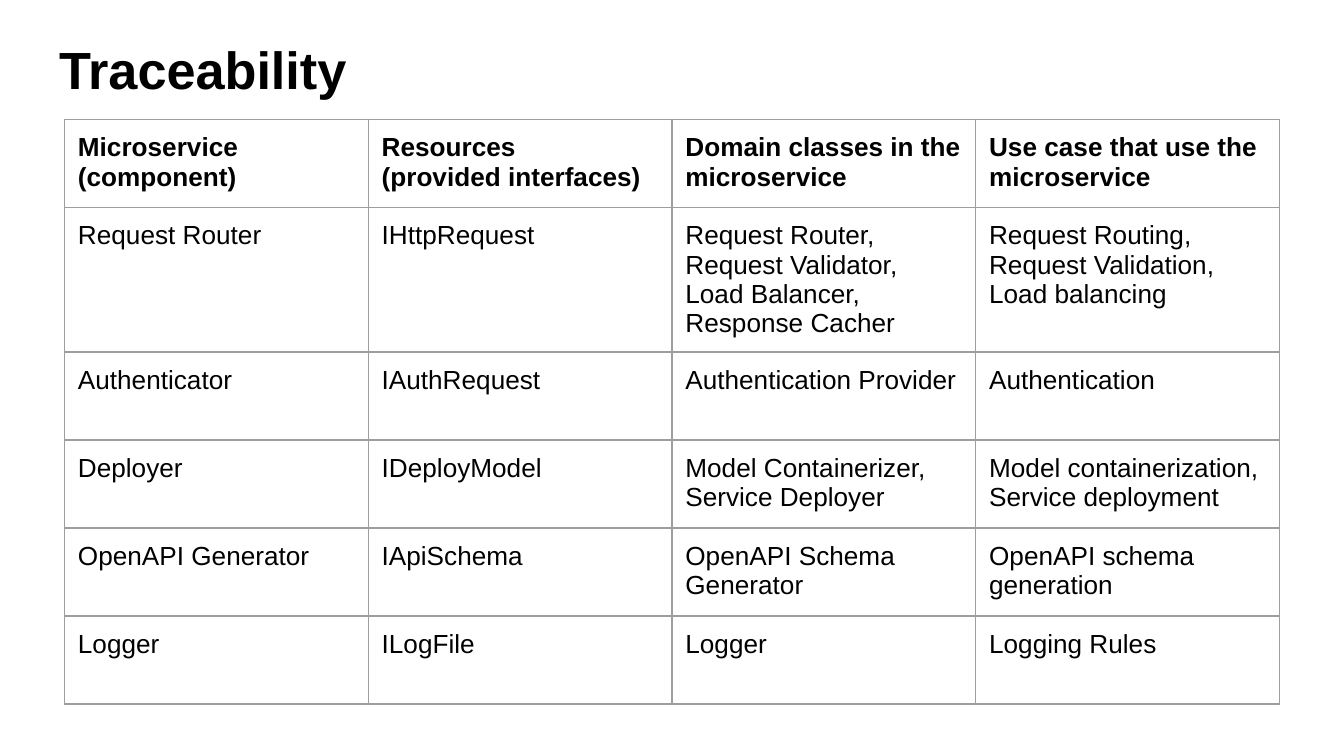
from dataclasses import dataclass

from lxml import etree
from pptx import Presentation
from pptx.dml.color import RGBColor
from pptx.enum.text import MSO_ANCHOR, MSO_AUTO_SIZE, PP_ALIGN
from pptx.oxml.ns import qn
from pptx.util import Inches, Pt

TOP = MSO_ANCHOR.TOP
LEFT = PP_ALIGN.LEFT
NO_AUTOFIT = MSO_AUTO_SIZE.NONE
TITLE_ONLY_LAYOUT = 5

# "\n" starts a paragraph, "\v" breaks a line within one.
TRACEABILITY_ROWS = [
    ["Microservice\v(component)", "Resources\v(provided interfaces)",
     "Domain classes in the microservice", "Use case that use the microservice"],
    ["Request Router", "IHttpRequest",
     "Request Router, Request Validator,\nLoad Balancer,\nResponse Cacher",
     "Request Routing,\nRequest Validation,\nLoad balancing"],
    ["Authenticator", "IAuthRequest", "Authentication Provider", "Authentication"],
    ["Deployer", "IDeployModel", "Model Containerizer, Service Deployer",
     "Model containerization,\nService deployment"],
    ["OpenAPI Generator", "IApiSchema", "OpenAPI Schema Generator",
     "OpenAPI schema generation"],
    ["Logger", "ILogFile", "Logger", "Logging Rules"],
]


@dataclass(frozen=True)
class Theme:
    font: str = "Arial"
    text: str = "000000"
    background: str = "FFFFFF"
    border: str = "9E9E9E"
    border_width: float = 0.75
    title_size: int = 28
    table_size: int = 14
    inset: float = 0.1


class SlideBuilder:
    """Draws elements on one slide in one theme."""

    def __init__(self, slide, theme):
        self.slide = slide
        self.theme = theme
        fill = slide.background.fill
        fill.solid()
        fill.fore_color.rgb = RGBColor.from_string(theme.background)

    def style_text(self, text_frame, size, bold):
        for paragraph in text_frame.paragraphs:
            paragraph.alignment = LEFT
            font = paragraph.font
            font.name = self.theme.font
            font.size = Pt(size)
            font.bold = bold
            font.color.rgb = RGBColor.from_string(self.theme.text)

    def set_insets(self, holder):
        """Set equal margins on a text frame or a table cell."""
        inset = Inches(self.theme.inset)
        holder.margin_left = holder.margin_right = inset
        holder.margin_top = holder.margin_bottom = inset
        holder.vertical_anchor = TOP

    def title(self, text, left, top, width, height):
        shape = self.slide.shapes.title
        shape.left, shape.top = Inches(left), Inches(top)
        shape.width, shape.height = Inches(width), Inches(height)
        text_frame = shape.text_frame
        text_frame.text = text
        text_frame.auto_size = NO_AUTOFIT
        self.set_insets(text_frame)
        self.style_text(text_frame, self.theme.title_size, True)

    def cell_borders(self, cell):
        properties = cell._tc.get_or_add_tcPr()
        for index, side in enumerate(("a:lnL", "a:lnR", "a:lnT", "a:lnB")):
            line = etree.Element(qn(side), w=str(Pt(self.theme.border_width)))
            fill = etree.SubElement(line, qn("a:solidFill"))
            etree.SubElement(fill, qn("a:srgbClr"), val=self.theme.border)
            properties.insert(index, line)

    def table(self, rows, left, top, width, height):
        """Add a table of equal rows and columns; rows grow to fit their text."""
        table = self.slide.shapes.add_table(
            len(rows), len(rows[0]),
            Inches(left), Inches(top), Inches(width), Inches(height),
        ).table
        table.first_row = table.horz_banding = False
        for row_index, row in enumerate(rows):
            for column_index, text in enumerate(row):
                cell = table.cell(row_index, column_index)
                cell.text = text
                cell.fill.background()
                self.set_insets(cell)
                self.style_text(cell.text_frame, self.theme.table_size, row_index == 0)
                self.cell_borders(cell)


def main():
    presentation = Presentation()
    presentation.slide_width = Inches(10)
    presentation.slide_height = presentation.slide_width * 9 // 16
    slide = presentation.slides.add_slide(presentation.slide_layouts[TITLE_ONLY_LAYOUT])
    builder = SlideBuilder(slide, Theme())
    builder.title("Traceability", 0.34, 0.18, 9.32, 0.63)
    builder.table(TRACEABILITY_ROWS, 0.48, 0.89, 9.04, 3.93)
    presentation.save("out.pptx")


if __name__ == "__main__":
    main()
